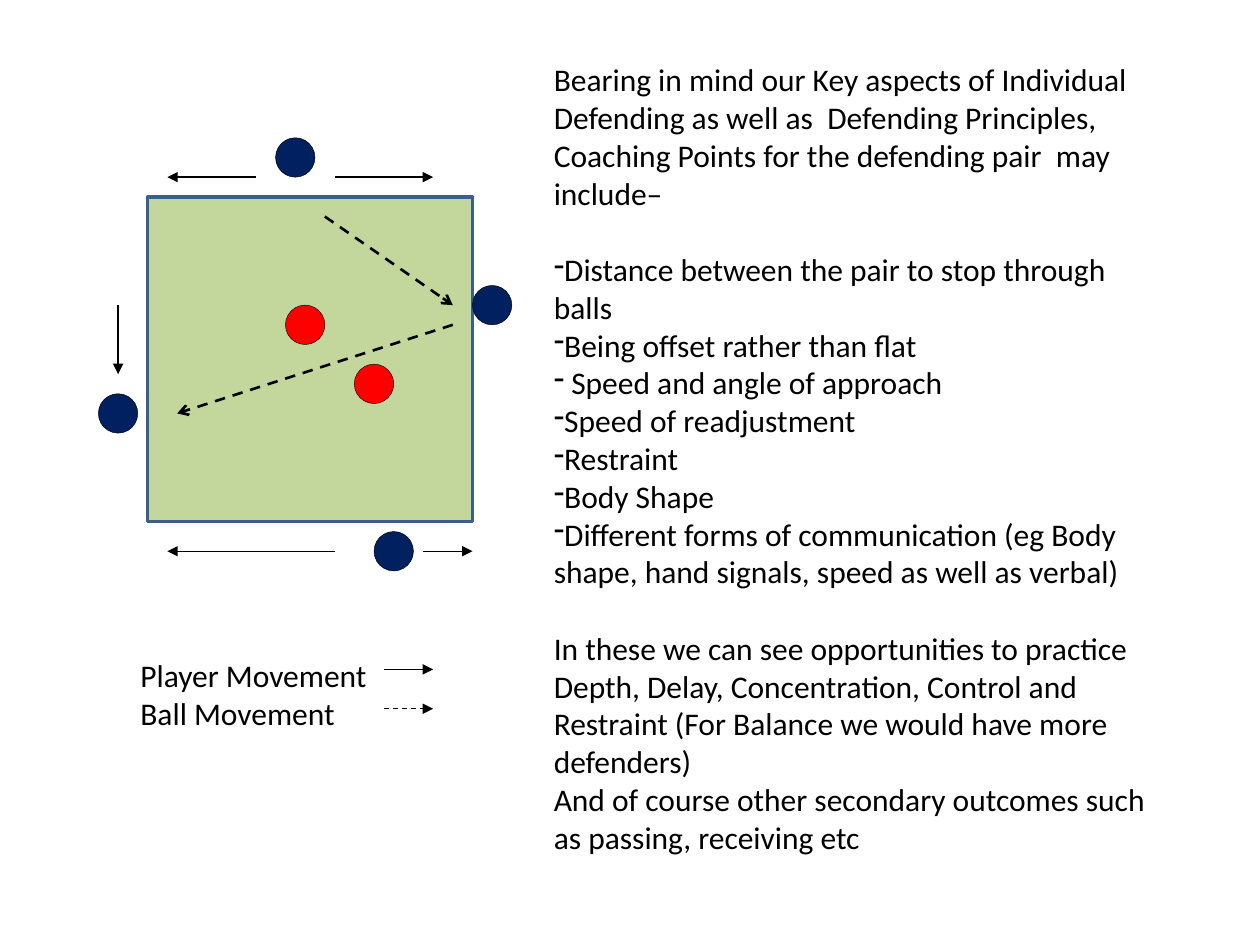
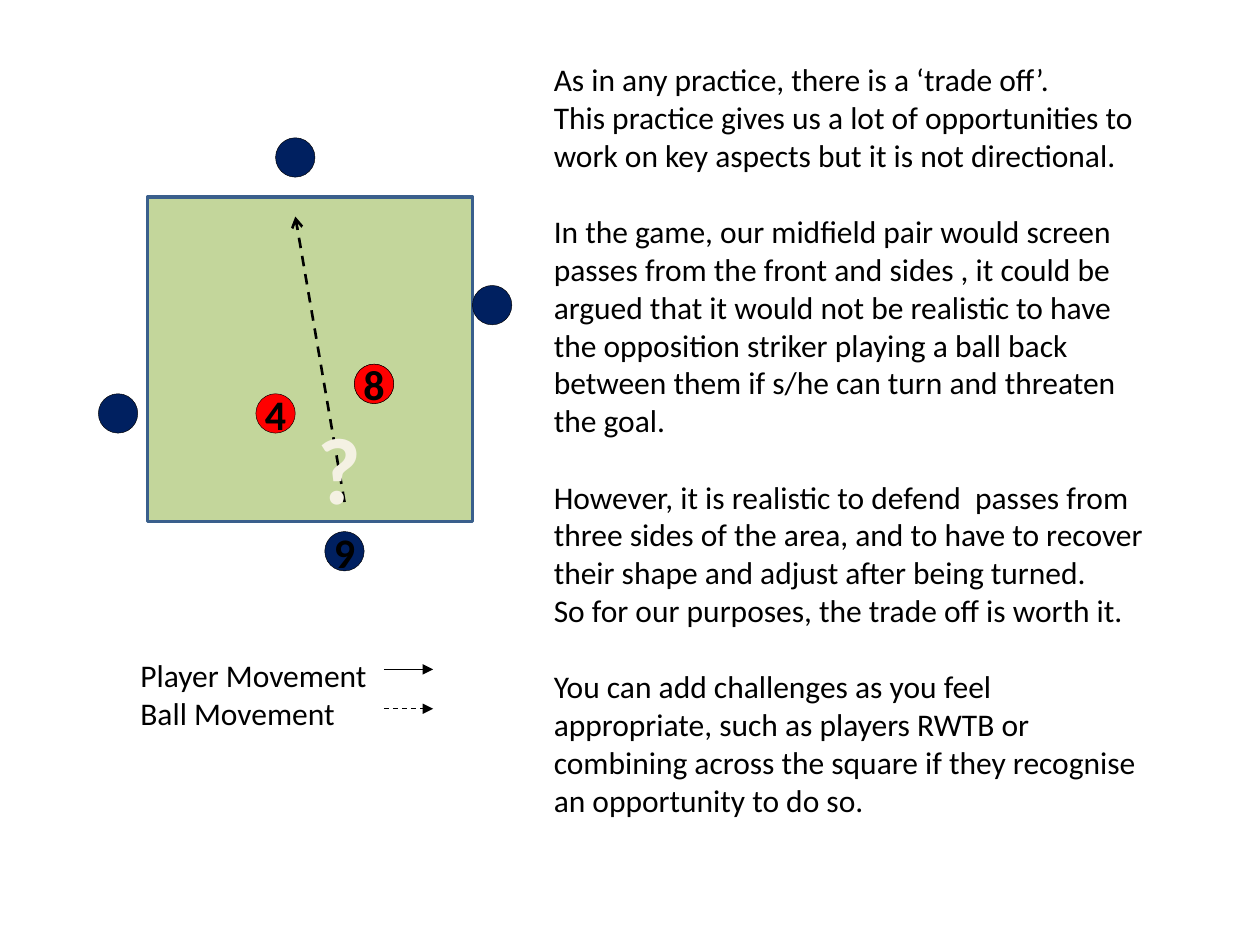
from collections import namedtuple

from lxml import etree
from pptx import Presentation
from pptx.dml.color import RGBColor
from pptx.enum.dml import MSO_LINE
from pptx.enum.shapes import MSO_CONNECTOR, MSO_SHAPE
from pptx.enum.text import MSO_ANCHOR, PP_ALIGN
from pptx.oxml.ns import qn
from pptx.util import Inches, Pt

COLORS = {
    "grass": "C3D69B",
    "border": "3A5F8C",
    "attacker": "002060",
    "defender": "FF0000",
    "ink": "000000",
    "question": "F4F1E3",
}
FONT = "Calibri"
BODY_SIZE = 18
PARAGRAPH_GAP = Pt(22)

STRAIGHT = MSO_CONNECTOR.STRAIGHT
RECTANGLE, OVAL = MSO_SHAPE.RECTANGLE, MSO_SHAPE.OVAL
DASH = MSO_LINE.DASH
CENTER, MIDDLE = PP_ALIGN.CENTER, MSO_ANCHOR.MIDDLE

# The slide is a grid of 128 columns by 96 square rows.
SLIDE_WIDTH, SLIDE_HEIGHT = Inches(10), Inches(7.5)
CELL = SLIDE_WIDTH / 128
PLAYER_CELLS = 4

Box = namedtuple("Box", "column row columns rows")
Player = namedtuple("Player", "column row team number", defaults=[""])

PITCH_BOX = Box(15, 20, 33, 33)
LEGEND_BOX = Box(13, 66, 34, 9)
NOTES_BOX = Box(55, 5.5, 63, 82.7)
QUESTION_BOX = Box(16, 21, 5.4, 13)

# Places on the pitch are counted in cells from its top left corner.
OUTER_PLAYERS = [
    Player(-5, 20, "attacker"),
    Player(13, -6, "attacker"),
    Player(33, 9, "attacker"),
    Player(21, 17, "defender"),
]

# Each group starts after a gap; lines that open with "-" become bullets.
COACHING_POINTS = [
    [
        "Bearing in mind our Key aspects of Individual Defending as well as  "
        "Defending Principles, Coaching Points for the defending pair  may include–",
    ],
    [
        "-Distance between the pair to stop through balls",
        "-Being offset rather than flat",
        "- Speed and angle of approach",
        "-Speed of readjustment",
        "-Restraint",
        "-Body Shape",
        "-Different forms of communication (eg Body shape, hand signals, "
        "speed as well as verbal)",
    ],
    [
        "In these we can see opportunities to practice",
        "Depth, Delay, Concentration, Control and Restraint "
        "(For Balance we would have more defenders)",
        "And of course other secondary outcomes such as passing, receiving etc",
    ],
]
TRADE_OFF = [
    [
        "As in any practice, there is a ‘trade off’.",
        "This practice gives us a lot of opportunities to work on key aspects "
        "but it is not directional.",
    ],
    [
        "In the game, our midfield pair would screen passes from the front and "
        "sides , it could be argued that it would not be realistic to have the "
        "opposition striker playing a ball back between them if s/he can turn "
        "and threaten the goal.",
    ],
    [
        "However, it is realistic to defend  passes from",
        "three sides of the area, and to have to recover their shape and adjust "
        "after being turned.",
        "So for our purposes, the trade off is worth it.",
    ],
    [
        "You can add challenges as you feel appropriate, such as players RWTB or "
        "combining across the square if they recognise an opportunity to do so.",
    ],
]


def rgb(name):
    return RGBColor.from_string(COLORS[name])


def cells(*counts):
    return [round(count * CELL) for count in counts]


def inside(outer, inner):
    """Move a box given relative to outer onto the slide grid."""
    return inner._replace(column=outer.column + inner.column, row=outer.row + inner.row)


def style_paragraph(paragraph, size=BODY_SIZE, color="ink", bold=False):
    for run in paragraph.runs:
        run.font.name = FONT
        run.font.size = Pt(size)
        run.font.bold = bold
        run.font.color.rgb = rgb(color)


def add_text_box(slide, box):
    text_frame = slide.shapes.add_textbox(*cells(*box)).text_frame
    text_frame.word_wrap = True
    return text_frame


def add_figure(slide, kind, box, fill, line, line_width):
    shape = slide.shapes.add_shape(kind, *cells(*box))
    shape.shadow.inherit = False
    shape.fill.solid()
    shape.fill.fore_color.rgb = rgb(fill)
    shape.line.color.rgb = rgb(line)
    shape.line.width = Pt(line_width)
    return shape


def add_arrow(slide, box, ends, width=0.75, dashed=False, head="triangle"):
    """Draw an arrow whose ends (x1, y1, x2, y2) are cells inside the box."""
    x1, y1, x2, y2 = ends
    points = cells(box.column + x1, box.row + y1, box.column + x2, box.row + y2)
    arrow = slide.shapes.add_connector(STRAIGHT, *points)
    arrow.line.color.rgb = rgb("ink")
    arrow.line.width = Pt(width)
    if dashed:
        arrow.line.dash_style = DASH
    etree.SubElement(arrow.line._get_or_add_ln(), qn("a:tailEnd"), type=head)
    etree.SubElement(arrow._element.spPr, qn("a:effectLst"))


def add_player(slide, box, player):
    place = Box(player.column, player.row, PLAYER_CELLS, PLAYER_CELLS)
    shape = add_figure(slide, OVAL, inside(box, place), player.team, "ink", 0.25)
    if player.number:
        text_frame = shape.text_frame
        text_frame.text = player.number
        text_frame.word_wrap = False
        text_frame.vertical_anchor = MIDDLE
        paragraph = text_frame.paragraphs[0]
        paragraph.alignment = CENTER
        style_paragraph(paragraph, size=24, bold=True)


def add_pitch(slide, box, players, passes, runs=()):
    """Draw the square with its players, ball passes and player runs."""
    add_figure(slide, RECTANGLE, box, "grass", "border", 2)
    for player in OUTER_PLAYERS + players:
        add_player(slide, box, player)
    for ends in passes:
        add_arrow(slide, box, ends, width=1.5, dashed=True, head="arrow")
    for ends in runs:
        add_arrow(slide, box, ends)


def add_legend(slide, box):
    text_frame = add_text_box(slide, box)
    text_frame.text = "Player Movement\nBall Movement"
    for index, paragraph in enumerate(text_frame.paragraphs):
        style_paragraph(paragraph)
        row = 2 + 4 * index
        add_arrow(slide, box, (26, row, 31, row), dashed=index == 1)


def add_dash_bullet(paragraph):
    properties = paragraph._p.get_or_add_pPr()
    etree.SubElement(properties, qn("a:buFontTx"))
    etree.SubElement(properties, qn("a:buChar"), char="-")


def add_notes(slide, box, groups):
    text_frame = add_text_box(slide, box)
    lines = [line for group in groups for line in group]
    group_starts = [group[0] for group in groups[1:]]
    text_frame.text = "\n".join(line.removeprefix("-") for line in lines)
    for line, paragraph in zip(lines, text_frame.paragraphs):
        style_paragraph(paragraph)
        if line in group_starts:
            paragraph.space_before = PARAGRAPH_GAP
        if line.startswith("-"):
            add_dash_bullet(paragraph)


def add_question_mark(slide, box):
    text_frame = add_text_box(slide, box)
    text_frame.text = "?"
    paragraph = text_frame.paragraphs[0]
    paragraph.alignment = CENTER
    style_paragraph(paragraph, size=54, color="question", bold=True)


def add_practice_slide(presentation, notes, players, passes, runs=()):
    slide = presentation.slides.add_slide(presentation.slide_layouts[6])
    add_pitch(slide, PITCH_BOX, players, passes, runs)
    add_legend(slide, LEGEND_BOX)
    add_notes(slide, NOTES_BOX, notes)
    return slide


def main():
    presentation = Presentation()
    presentation.slide_width = SLIDE_WIDTH
    presentation.slide_height = SLIDE_HEIGHT

    add_practice_slide(
        presentation,
        COACHING_POINTS,
        players=[Player(14, 11, "defender"), Player(23, 34, "attacker")],
        passes=[(31, 13, 3, 22), (18, 2, 31, 11)],
        runs=[
            (-3, 11, -3, 18),
            (11, -2, 2, -2),
            (19, -2, 29, -2),
            (19, 36, 2, 36),
            (28, 36, 33, 36),
        ],
    )

    # The numbered defender on the right covers the unnumbered one beneath it.
    trade_off_slide = add_practice_slide(
        presentation,
        TRADE_OFF,
        players=[
            Player(21, 17, "defender", "8"),
            Player(11, 20, "defender", "4"),
            Player(18, 34, "attacker", "9"),
        ],
        passes=[(20, 31, 15, 2)],
    )
    add_question_mark(trade_off_slide, inside(PITCH_BOX, QUESTION_BOX))

    presentation.save("out.pptx")


if __name__ == "__main__":
    main()
